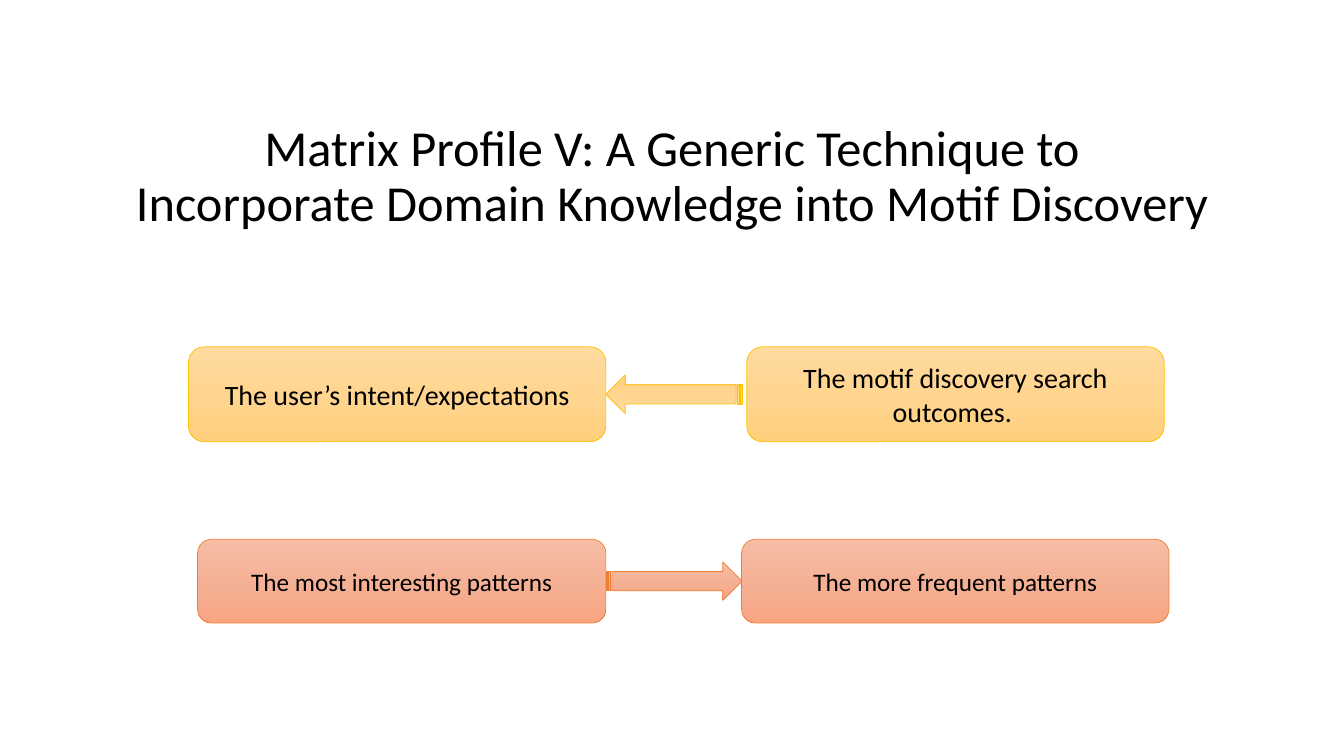
from copy import deepcopy

from pptx import Presentation
from pptx.dml.color import RGBColor
from pptx.enum.shapes import MSO_SHAPE
from pptx.enum.text import MSO_ANCHOR, MSO_AUTO_SIZE, PP_ALIGN
from pptx.oxml.ns import qn
from pptx.util import Cm, Pt

ROUND = MSO_SHAPE.ROUNDED_RECTANGLE
ARROW = MSO_SHAPE.STRIPED_RIGHT_ARROW
MIDDLE = MSO_ANCHOR.MIDDLE
CENTER = PP_ALIGN.CENTER
NO_FIT = MSO_AUTO_SIZE.NONE

BLACK = RGBColor(0x00, 0x00, 0x00)
GOLD = RGBColor(0xFF, 0xC0, 0x00)
GOLD_FADE = (RGBColor(0xFF, 0xDB, 0x9E), RGBColor(0xFF, 0xD5, 0x90),
             RGBColor(0xFF, 0xD0, 0x7C))
CORAL = RGBColor(0xED, 0x7D, 0x31)
CORAL_FADE = (RGBColor(0xF7, 0xBD, 0xA5), RGBColor(0xF5, 0xB1, 0x96),
              RGBColor(0xF8, 0xA5, 0x82))

FONT = "Calibri"
ARROW_WIDTH = 3.43
ARROW_HEIGHT = 0.97


def set_text(frame, text, size):
    frame.text = text
    frame.word_wrap = True
    frame.vertical_anchor = MIDDLE
    para = frame.paragraphs[0]
    para.alignment = CENTER
    para.font.name = FONT
    para.font.size = Pt(size)
    para.font.color.rgb = BLACK
    return para


def add_title(slide, box, text):
    title = slide.shapes.title
    title.left, title.top, title.width, title.height = map(Cm, box)
    para = set_text(title.text_frame, text, 36)
    para.line_spacing = 0.9
    title.text_frame.auto_size = NO_FIT


def add_block(slide, kind, box, edge, fade):
    block = slide.shapes.add_shape(kind, *map(Cm, box))
    block.shadow.inherit = False
    block.line.color.rgb = edge
    block.line.width = Pt(0.5)
    block.fill.gradient()
    block.fill.gradient_angle = 270
    stops = block.element.spPr.find(".//" + qn("a:gsLst"))
    stops.append(deepcopy(stops[-1]))
    for index, (stop, color) in enumerate(zip(block.fill.gradient_stops, fade)):
        stop.position = index / 2
        stop.color.rgb = color
    return block


def add_pair(slide, box, widths, texts, size, edge, fade, turn):
    left, top, width, height = box
    first, second = widths
    starts = (left, left + width - second)
    for start, span, text in zip(starts, widths, texts):
        block = add_block(slide, ROUND, (start, top, span, height), edge, fade)
        set_text(block.text_frame, text, size)
    place = (left + first, top + (height - ARROW_HEIGHT) / 2,
             ARROW_WIDTH, ARROW_HEIGHT)
    arrow = add_block(slide, ARROW, place, edge, fade)
    arrow.rotation = turn


def main():
    deck = Presentation()
    deck.slide_width = Cm(33.87)
    deck.slide_height = Cm(19.05)
    slide = deck.slides.add_slide(deck.slide_layouts[5])
    add_title(slide, (2.34, 1.68, 29.21, 5.59),
              "Matrix Profile V: A Generic Technique to\v"
              "Incorporate Domain Knowledge into Motif Discovery")
    add_pair(slide, (4.75, 8.74, 24.59, 2.39), (10.52, 10.52),
             ("The user’s intent/expectations",
              "The motif discovery search outcomes. "),
             20, GOLD, GOLD_FADE, 180)
    add_pair(slide, (4.98, 13.59, 24.48, 2.11), (10.29, 10.77),
             ("The most interesting patterns", "The more frequent patterns"),
             18, CORAL, CORAL_FADE, 0)
    deck.save("out.pptx")


if __name__ == "__main__":
    main()
